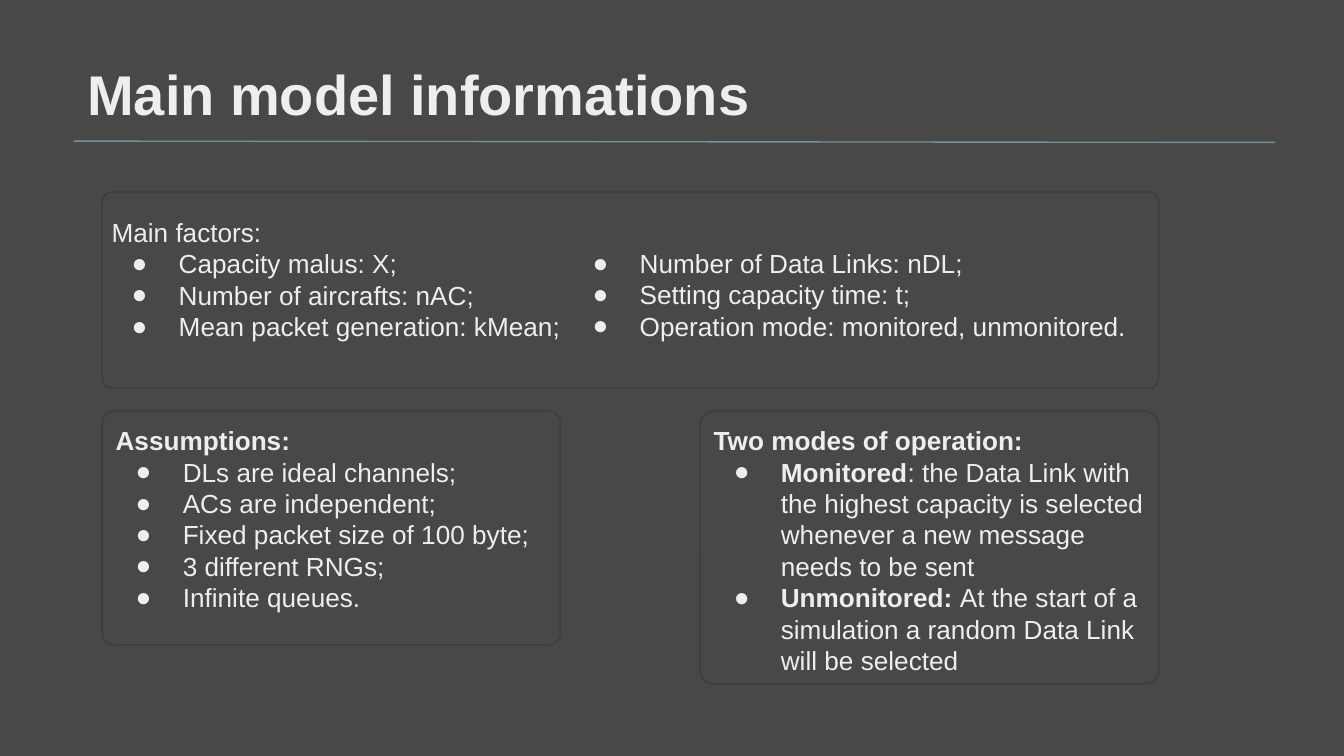
from lxml import etree
from pptx import Presentation
from pptx import util as u
from pptx.dml.color import RGBColor
from pptx.enum import shapes, text
from pptx.oxml.ns import qn

COLORS = {"background": "484848", "text": "EEEEEE", "rule": "78909C", "frame": "3F3F3F"}
FONT = "Arial"
TITLE = "Main model informations"
TITLE_BOX = (0.55, 0.34, 7.18, 0.71)
RULE = (0.55, 1.05, 9.49, 1.06)

LEFT, RIGHT, LOWER_TOP, HALF_WIDTH = 0.76, 5.21, 3.06, 3.41
FRAMES = [
    (LEFT, LOWER_TOP, HALF_WIDTH, 1.74),
    (RIGHT, LOWER_TOP, HALF_WIDTH, 2.03),
    (LEFT, 1.43, RIGHT + HALF_WIDTH - LEFT, 1.46),
]

# Each item is a list of (words, bold) runs.
LISTS = [
    {"box": (0.73, 1.51, 3.58, 1.14), "heading": ("Main factors:", False), "items": [
        [("Capacity malus: X;", False)],
        [("Number of aircrafts: nAC;", False)],
        [("Mean packet generation: kMean;", False)],
    ]},
    {"box": (4.16, 1.74, 5.5, 0.91), "heading": None, "items": [
        [("Number of Data Links: nDL;", False)],
        [("Setting capacity time: t;", False)],
        [("Operation mode: monitored, unmonitored.", False)],
    ]},
    {"box": (LEFT, LOWER_TOP, HALF_WIDTH, 1.62), "heading": ("Assumptions:", True), "items": [
        [("DLs are ideal channels;", False)],
        [("ACs are independent;", False)],
        [("Fixed packet size of 100 byte;", False)],
        [("3 different RNGs;", False)],
        [("Infinite queues.", False)],
    ]},
    {"box": (RIGHT, LOWER_TOP, HALF_WIDTH, 2.09), "heading": ("Two modes of operation:", True), "items": [
        [("Monitored", True),
         (": the Data Link with the highest capacity is selected whenever a new message "
          "needs to be sent", False)],
        [("Unmonitored: ", True),
         ("At the start of a simulation a random Data Link will be selected", False)],
    ]},
]

FRAME_FORMAT = {
    "word_wrap": True,
    "auto_size": text.MSO_AUTO_SIZE.NONE,
    "vertical_anchor": text.MSO_ANCHOR.TOP,
    **{f"margin_{side}": u.Inches(0.1) for side in ("left", "top", "right", "bottom")},
}
PARAGRAPH_FORMAT = {
    "alignment": text.PP_ALIGN.LEFT,
    "line_spacing": 1.0,
    "space_before": u.Pt(0),
    "space_after": u.Pt(0),
}


def rgb(name):
    return RGBColor.from_string(COLORS[name])


def apply(target, values):
    for name, value in values.items():
        setattr(target, name, value)


def place(shape, box):
    apply(shape, dict(zip(("left", "top", "width", "height"), map(u.Inches, box))))
    apply(shape.text_frame, FRAME_FORMAT)


def set_bullet(paragraph, bulleted):
    properties = paragraph._p.get_or_add_pPr()
    properties.set("marL", str(u.Inches(0.5 if bulleted else 0)))
    properties.set("indent", str(u.Inches(-0.35 if bulleted else 0)))
    if bulleted:
        color = etree.SubElement(properties, qn("a:buClr"))
        etree.SubElement(color, qn("a:srgbClr"), val=COLORS["text"])
        etree.SubElement(properties, qn("a:buFont"), typeface=FONT)
        etree.SubElement(properties, qn("a:buChar"), char="●")
    else:
        etree.SubElement(properties, qn("a:buNone"))


def write(paragraph, runs, size, bulleted=False):
    apply(paragraph, PARAGRAPH_FORMAT)
    set_bullet(paragraph, bulleted)
    for words, bold in runs:
        run = paragraph.add_run()
        run.text = words
        apply(run.font, {"name": FONT, "size": u.Pt(size), "bold": bold})
        run.font.color.rgb = rgb("text")


def fill_list(placeholder, content):
    place(placeholder, content["box"])
    lines = [(item, True) for item in content["items"]]
    if content["heading"]:
        lines.insert(0, ([content["heading"]], False))
    frame = placeholder.text_frame
    for number, (runs, bulleted) in enumerate(lines):
        paragraph = frame.add_paragraph() if number else frame.paragraphs[0]
        write(paragraph, runs, 14, bulleted)


def add_frame(slide, box):
    frame = slide.shapes.add_shape(shapes.MSO_SHAPE.ROUNDED_RECTANGLE, *map(u.Inches, box))
    frame.adjustments[0] = 0.05
    frame.shadow.inherit = False
    frame.fill.background()
    frame.line.color.rgb = rgb("frame")
    frame.line.width = u.Pt(1)


def add_rule(slide):
    rule = slide.shapes.add_connector(shapes.MSO_CONNECTOR.STRAIGHT, *map(u.Inches, RULE))
    rule.line.color.rgb = rgb("rule")
    rule.line.width = u.Pt(0.75)
    etree.SubElement(rule._element.spPr, qn("a:effectLst"))


def main():
    presentation = Presentation()
    presentation.slide_width = u.Inches(10)
    presentation.slide_height = presentation.slide_width * 9 // 16
    comparison_layout = presentation.slide_layouts[4]
    slide = presentation.slides.add_slide(comparison_layout)
    slide.background.fill.solid()
    slide.background.fill.fore_color.rgb = rgb("background")

    title, *bodies = slide.placeholders
    place(title, TITLE_BOX)
    write(title.text_frame.paragraphs[0], [(TITLE, True)], 30)
    add_rule(slide)
    for box in FRAMES:
        add_frame(slide, box)
    for placeholder, content in zip(bodies, LISTS):
        fill_list(placeholder, content)
    presentation.save("out.pptx")


if __name__ == "__main__":
    main()
